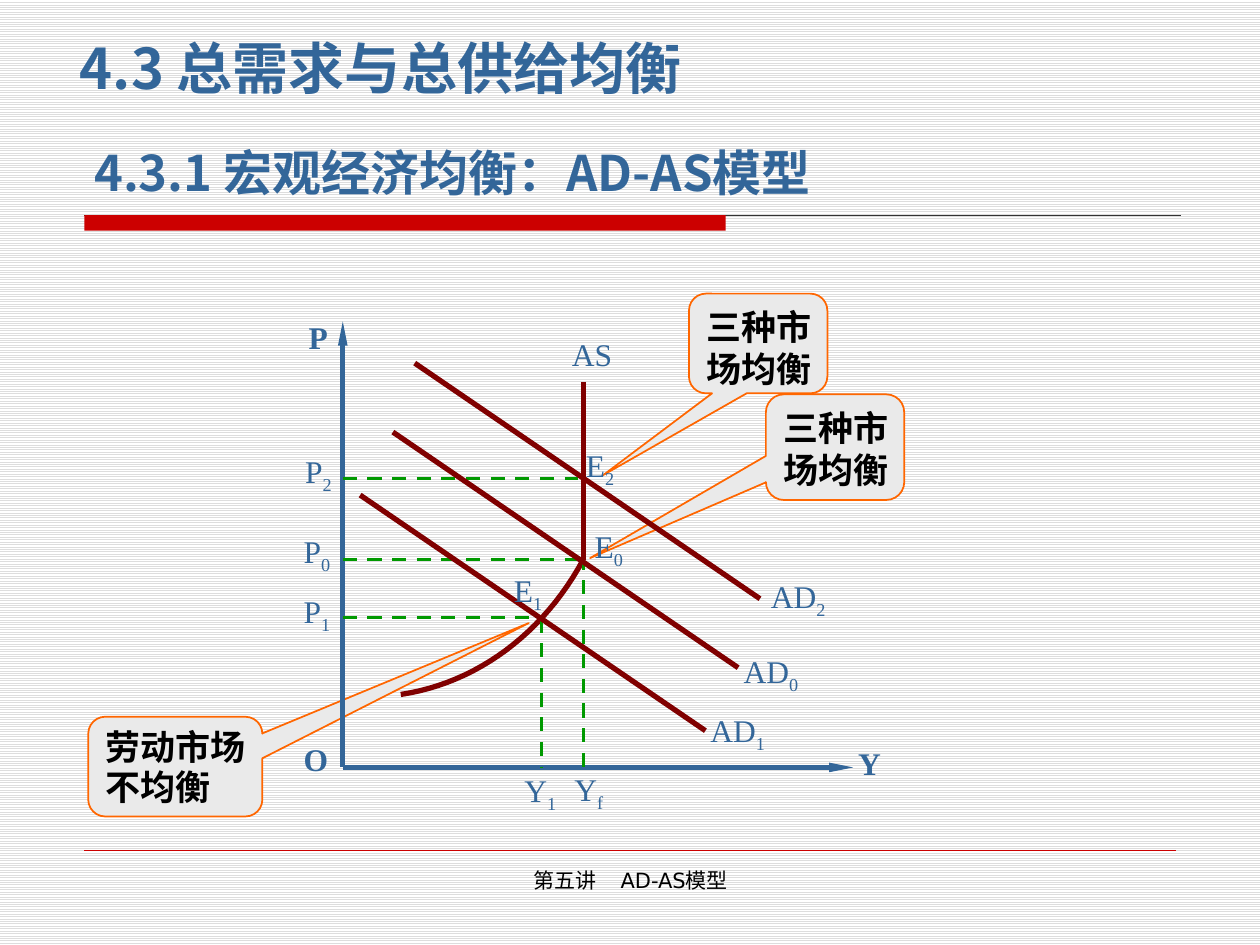
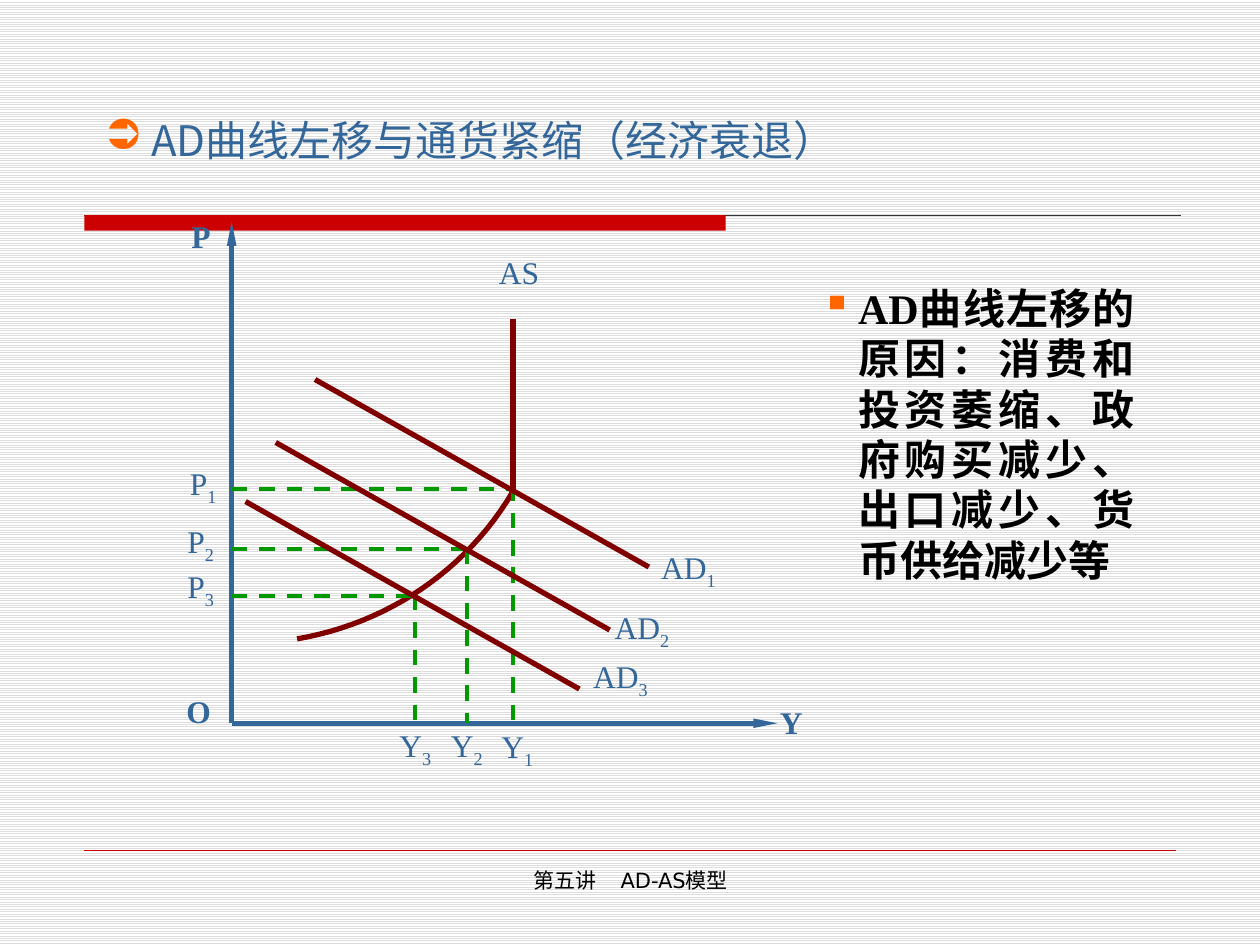
from lxml.etree import SubElement
from pptx import Presentation
from pptx.dml.color import RGBColor
from pptx.enum.dml import MSO_LINE, MSO_PATTERN
from pptx.enum.shapes import MSO_CONNECTOR, MSO_SHAPE
from pptx.enum.text import MSO_ANCHOR, PP_ALIGN
from pptx.oxml.ns import qn
from pptx.util import Cm, Pt

COLORS = {
    "paper": "FFFFFF", "stripe": "DDDDDD", "band": "CC0000", "rule": "333333",
    "blue": "336699", "curve": "800000", "guide": "009900",
    "callout": "EAEAEA", "accent": "FF6600", "ink": "000000", "shade": "C0C0C0",
}
SANS, SERIF, FOOTER_FONT = "Noto Sans CJK SC", "Times New Roman", "DejaVu Sans"


def color(name):
    return RGBColor.from_string(COLORS[name])


class Deck:
    def __init__(self):
        self.prs = Presentation()
        self.prs.slide_width, self.prs.slide_height = Cm(25.4), Cm(19.05)
        self.slide = None

    def new_slide(self):
        self.slide = self.prs.slides.add_slide(self.prs.slide_layouts[6])
        paper = self.slide.background.fill
        paper.patterned()
        paper.pattern = MSO_PATTERN.LIGHT_HORIZONTAL
        paper.fore_color.rgb, paper.back_color.rgb = color("stripe"), color("paper")
        self.line((1.7, 4.34), (23.8, 4.34), "rule", 0.75)
        self.shape(MSO_SHAPE.RECTANGLE, (1.7, 4.34, 12.93, 0.31), "band")
        self.line((1.7, 17.15), (23.7, 17.15), "band", 0.25)

    def shape(self, preset, box, fill, outline=None):
        shape = self.slide.shapes.add_shape(preset, *map(Cm, box))
        shape.shadow.inherit = False
        shape.fill.solid()
        shape.fill.fore_color.rgb = color(fill)
        if outline:
            shape.line.color.rgb = color(outline)
            shape.line.width = Pt(1)
        else:
            shape.line.fill.background()
        return shape

    def line(self, start, end, stroke, width, dash=False, arrow=False):
        ends = map(Cm, (*start, *end))
        line = self.slide.shapes.add_connector(MSO_CONNECTOR.STRAIGHT, *ends)
        line.line.color.rgb = color(stroke)
        line.line.width = Pt(width)
        if dash:
            line.line.dash_style = MSO_LINE.DASH
        properties = line._element.spPr
        if arrow:
            SubElement(properties.find(qn("a:ln")), qn("a:tailEnd"),
                       type="triangle", w="sm", len="lg")
        SubElement(properties, qn("a:effectLst"))

    def curve(self, controls, steps=24):
        points = []
        for step in range(steps + 1):
            t = step / steps
            weights = ((1 - t) ** 3, 3 * t * (1 - t) ** 2, 3 * t * t * (1 - t), t ** 3)
            points.append(tuple(Cm(sum(w * c for w, c in zip(weights, axis)))
                                for axis in zip(*controls)))
        builder = self.slide.shapes.build_freeform(*points[0], scale=1.0)
        builder.add_line_segments(points[1:], close=False)
        curve = builder.convert_to_shape()
        curve.shadow.inherit = False
        curve.fill.background()
        curve.line.color.rgb = color("curve")
        curve.line.width = Pt(3)

    def fill_text(self, shape, pieces, size, font, ink, bold=False, align=PP_ALIGN.LEFT,
                  insets=(0.25, 0.13, 0.25, 0.13), anchor=MSO_ANCHOR.TOP):
        frame = shape.text_frame
        frame.word_wrap = True
        frame.vertical_anchor = anchor
        (frame.margin_left, frame.margin_top,
         frame.margin_right, frame.margin_bottom) = map(Cm, insets)
        paragraph = frame.paragraphs[0]
        paragraph.alignment = align
        for piece in pieces:
            run = paragraph.add_run()
            run.text = piece
            run.font.size, run.font.bold, run.font.name = Pt(size), bold, font
            run.font.color.rgb = color(ink)
            SubElement(run._r.rPr, qn("a:ea"), typeface=SANS)
        return paragraph

    def text(self, box, pieces, size, font, ink, **style):
        area = self.slide.shapes.add_textbox(*map(Cm, box))
        return self.fill_text(area, pieces, size, font, ink, **style)

    def title(self, box, words, size, spacing, inset=0.25):
        paragraph = self.text(box, [words], size, SANS, "blue", bold=True,
                              insets=(inset, 0.13, 0.25, 0.13), anchor=MSO_ANCHOR.MIDDLE)
        paragraph.line_spacing = spacing
        fill = paragraph.runs[0]._r.rPr.find(qn("a:solidFill"))
        effects = fill.makeelement(qn("a:effectLst"), {})
        fill.addnext(effects)
        shadow = SubElement(effects, qn("a:outerShdw"), dist="35921", dir="2700000")
        SubElement(shadow, qn("a:srgbClr"), val=COLORS["shade"])

    def callout(self, box, words, pointer, spacing=1.0):
        callout = self.shape(MSO_SHAPE.ROUNDED_RECTANGULAR_CALLOUT, box, "callout", "accent")
        for index, value in enumerate((*pointer, 0.17)):
            callout.adjustments[index] = value
        paragraph = self.fill_text(callout, [words], 20, SANS, "ink", bold=True,
                                   insets=(0.25, 0.13, 0, 0.13))
        paragraph.space_before = Pt(4)
        paragraph.line_spacing = spacing

    def bullet(self, paragraph, symbol, indent=0):
        properties = paragraph._p.get_or_add_pPr()
        properties.set("marL", str(Cm(indent)))
        properties.set("indent", str(-Cm(indent)))
        tint = SubElement(properties, qn("a:buClr"))
        SubElement(tint, qn("a:srgbClr"), val=COLORS["accent"])
        SubElement(properties, qn("a:buChar"), char=symbol)

    def labels(self, size, places, bold=False):
        for name, x, y in places:
            base, _, index = name.partition("_")
            paragraph = self.text((x, y, *size), [base, index] if index else [base],
                                  18, SERIF, "blue", bold=bold, align=PP_ALIGN.JUSTIFY,
                                  insets=(0.05, 0.03, 0.05, 0.03))
            for subscript in paragraph.runs[1:]:
                subscript._r.rPr.set("baseline", "-25000")

    def diagram(self, origin, price_top, output_end, supply, supply_top,
                demand_starts, demand_run, price_guides, output_guides, guide_width):
        left, base = origin
        self.curve(supply)
        self.line(origin, (left, price_top), "blue", 2.75, arrow=True)
        self.line(origin, (output_end, base), "blue", 2.75, arrow=True)
        for x, y in price_guides:
            self.line((left, y), (x, y), "guide", guide_width, dash=True)
        for x, y in output_guides:
            self.line((x, y), (x, base), "guide", guide_width, dash=True)
        full_output, kink = supply[-1]
        self.line((full_output, supply_top), (full_output, kink), "curve", 3)
        for x, y in demand_starts:
            self.line((x, y), (x + demand_run[0], y + demand_run[1]), "curve", 3)

    def footer(self):
        paragraph = self.text((8.69, 17.35, 8.05, 1.32), ["第五讲", " ", "AD-AS模型"],
                              12, FOOTER_FONT, "ink", align=PP_ALIGN.CENTER)
        paragraph.runs[1]._r.rPr.set("spc", "1100")


def equilibrium_slide(deck):
    deck.new_slide()
    deck.title((0.66, 0.74, 14.55, 1.5), "4.3 总需求与总供给均衡", 32, 0.8, inset=0.95)
    deck.title((1.65, 2.95, 15.39, 1.19), "4.3.1 宏观经济均衡：AD-AS模型", 28, 0.9)
    deck.callout((15.44, 7.95, 2.79, 2.13), "三种市场均衡", (-1.77, 1.05))
    deck.callout((1.78, 14.45, 3.51, 2.01), "劳动市场不均衡", (2.03, -1.44), 0.95)
    deck.callout((13.89, 5.92, 2.79, 2.01), "三种市场均衡", (-1.12, 1.32))
    deck.diagram(
        origin=(6.91, 15.47), price_top=6.48, output_end=17.2,
        supply=[(8.08, 14), (9.63, 13.77), (10.97, 12.75), (11.76, 11.28)], supply_top=7.7,
        demand_starts=[(7.92, 8.71), (8.36, 7.32), (7.26, 9.98)], demand_run=(6.96, 4.75),
        price_guides=[(11.66, 11.28), (11.66, 9.65), (10.9, 12.45)],
        output_guides=[(11.76, 11.2), (10.92, 12.47)], guide_width=2)
    deck.labels((0.86, 1.07), [("P", 6.17, 6.38), ("O", 6.07, 14.88), ("Y", 17.25, 14.96)],
                bold=True)
    deck.labels((1.22, 0.86), [("AS", 11.48, 6.73)])
    deck.labels((1.04, 1.07), [
        ("E_0", 11.94, 10.59), ("E_1", 10.31, 11.48), ("E_2", 11.76, 8.97),
        ("P_0", 6.07, 10.69), ("P_1", 6.07, 11.91), ("P_2", 6.1, 9.09),
        ("Y_f", 11.53, 15.49), ("Y_1", 10.52, 15.52)])
    deck.labels((1.5, 1.07), [("AD_0", 14.94, 13.11), ("AD_1", 14.27, 14.3),
                              ("AD_2", 15.49, 11.61)])
    deck.footer()


def deflation_slide(deck):
    deck.new_slide()
    heading = deck.text((2.11, 2.31, 15.19, 1.02), [" AD曲线左移与通货紧缩（经济衰退）"],
                        24, SANS, "blue", insets=(0, 0, 0, 0), anchor=MSO_ANCHOR.MIDDLE)
    deck.bullet(heading, "➲")
    causes = deck.text(
        (16.31, 5.56, 6.81, 6.5),
        ["AD曲线左移的原因：消费和投资萎缩、政府购买减少、出口减少、货币供给减少等"],
        24, SERIF, "ink", bold=True, align=PP_ALIGN.JUSTIFY)
    causes.space_before = Pt(11)
    deck.bullet(causes, "▪", 0.74)
    deck.diagram(
        origin=(4.67, 14.58), price_top=4.47, output_end=15.67,
        supply=[(5.99, 12.88), (7.8, 12.57), (9.4, 11.51), (10.34, 9.91)], supply_top=6.43,
        demand_starts=[(6.35, 7.65), (5.56, 8.92), (4.95, 10.11)], demand_run=(6.73, 3.78),
        price_guides=[(10.24, 9.86), (9.4, 11.07), (8.41, 12.01)],
        output_guides=[(10.34, 9.78), (9.42, 11.05), (8.36, 11.99)], guide_width=2.25)
    deck.labels((1.02, 1.19), [("P", 3.81, 4.34), ("O", 3.71, 13.92), ("Y", 15.67, 14.15)],
                bold=True)
    deck.labels((1.22, 1.19), [
        ("P_1", 3.78, 9.32), ("P_2", 3.73, 10.49), ("P_3", 3.73, 11.4),
        ("Y_1", 10.06, 14.63), ("Y_2", 9.04, 14.61), ("Y_3", 8, 14.61)])
    deck.labels((1.42, 1.19), [("AS", 10.01, 5.08), ("AD_1", 13.28, 11.02),
                               ("AD_2", 12.34, 12.22), ("AD_3", 11.91, 13.21)])
    deck.footer()


def main():
    deck = Deck()
    equilibrium_slide(deck)
    deflation_slide(deck)
    deck.prs.save("out.pptx")


if __name__ == "__main__":
    main()
